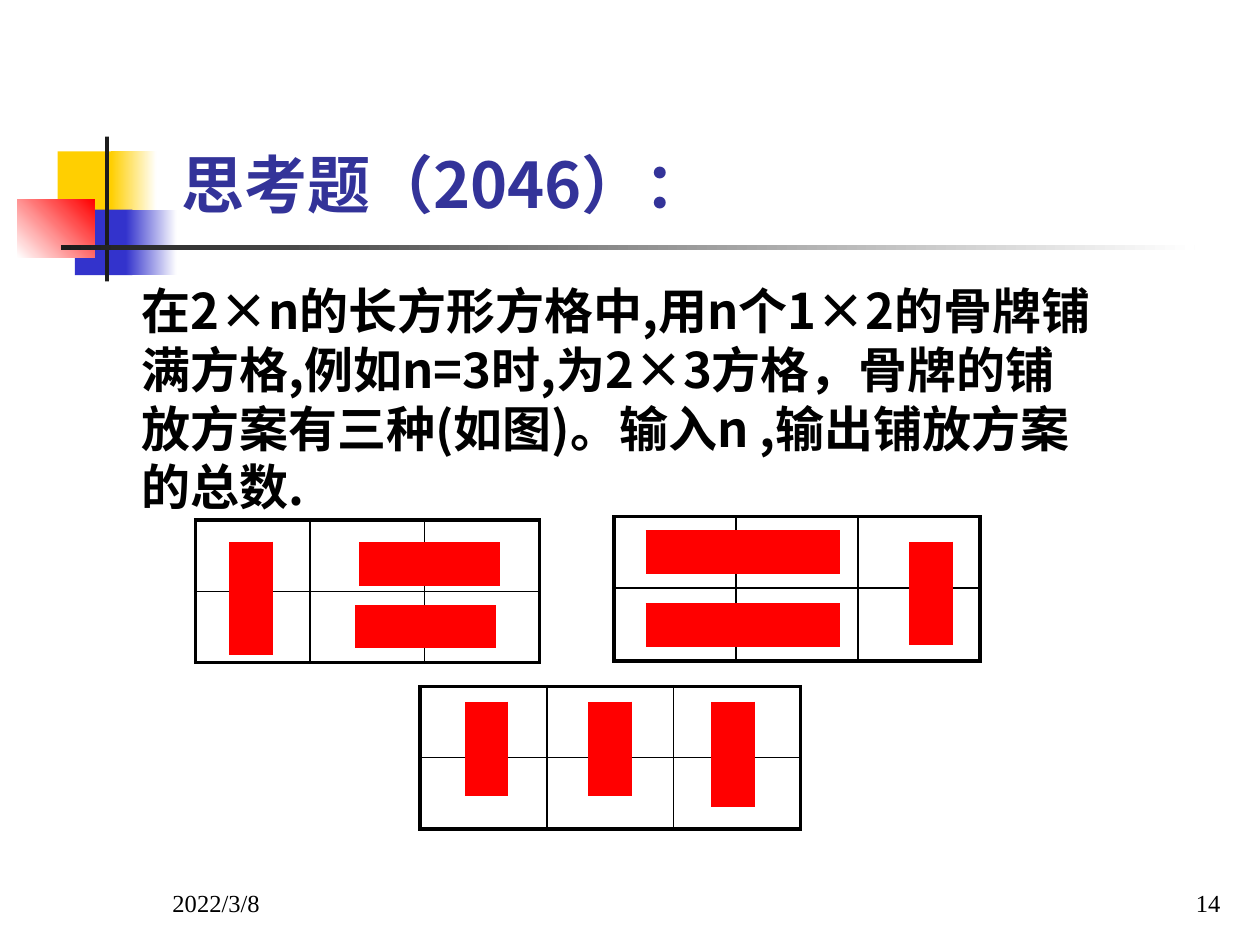
from lxml import etree
from pptx import Presentation
from pptx.dml.color import RGBColor
from pptx.enum.shapes import MSO_CONNECTOR, MSO_SHAPE
from pptx.enum.text import MSO_ANCHOR, PP_ALIGN
from pptx.oxml.ns import qn
from pptx.util import Pt

RECT = MSO_SHAPE.RECTANGLE
LINE = MSO_CONNECTOR.STRAIGHT
TOP, MIDDLE, BOTTOM = MSO_ANCHOR.TOP, MSO_ANCHOR.MIDDLE, MSO_ANCHOR.BOTTOM
LEFT, RIGHT = PP_ALIGN.LEFT, PP_ALIGN.RIGHT
SANS, SERIF = "Noto Sans CJK SC", "Times New Roman"

rgb = RGBColor.from_string


def add_text(words, box, size, face, color, bold, anchor, align=LEFT):
    frame = shapes.add_textbox(*map(Pt, box)).text_frame
    frame.word_wrap = True
    frame.vertical_anchor = anchor
    para = frame.paragraphs[0]
    para.text = words
    para.alignment = align
    font = para.font
    font.size, font.name, font.bold = Pt(size), face, bold
    font.color.rgb = rgb(color)
    # East Asian letters take their own typeface entry
    props = para._p.pPr.find(qn("a:defRPr"))
    etree.SubElement(props, qn("a:ea")).set("typeface", face)
    return para


def add_edge(cell, side, width):
    edge = etree.SubElement(cell._tc.get_or_add_tcPr(), qn(f"a:ln{side}"))
    edge.set("w", str(Pt(width)))
    fill = etree.SubElement(edge, qn("a:solidFill"))
    etree.SubElement(fill, qn("a:srgbClr")).set("val", "000000")


prs = Presentation()
prs.slide_width, prs.slide_height = Pt(720), Pt(540)
slide = prs.slides.add_slide(prs.slide_layouts[6])
shapes = slide.shapes

# Corner blocks and rules: box, start colour, end colour, angle
decor = [
    ((33, 86.5, 34.5, 37.5), "FFCF01", None, 0),
    ((63.5, 86.5, 26, 37.5), "FFCF01", "FFFFFF", 0),
    ((42.75, 119.75, 33, 37.5), "3333CC", None, 0),
    ((72, 119.75, 29, 37.5), "3333CC", "FFFFFF", 0),
    ((10, 113.75, 44, 33.5), "FFFFFF", "FF0000", 45),
    ((60, 78, 2.25, 82.75), "1C1C1C", None, 0),
    ((34.75, 140.25, 648, 2.5), "1C1C1C", "FFFFFF", 0),
]
for box, start, end, angle in decor:
    block = shapes.add_shape(RECT, *map(Pt, box))
    block.shadow.inherit = False
    block.line.fill.background()
    if end:
        block.fill.gradient()
        block.fill.gradient_angle = angle
        for stop, color in zip(block.fill.gradient_stops, (start, end)):
            stop.color.rgb = rgb(color)
    else:
        block.fill.solid()
        block.fill.fore_color.rgb = rgb(start)

# Title and task
title = add_text("思考题（2046）：", (96.5, 77.5, 446.5, 60.5), 36, SANS,
                 "333399", True, MIDDLE)
title.line_spacing = 0.9
task = add_text("在2×n的长方形方格中,用n个1×2的骨牌铺满方格,例如n=3时,"
                "为2×3方格，骨牌的铺放方案有三种(如图)。输入n ,"
                "输出铺放方案的总数.",
                (74, 157, 559, 142.5), 28, SANS, "000000", True, TOP)
task.line_spacing = Pt(33.5)

# Three tilings: left, top, column width, row heights, domino lines
tilings = [
    (111.75, 297.25, 65.5, (40.75, 40.75),
     [(143.25, 309.5, 143.25, 374.5), (203, 358, 283.5, 358),
      (205.25, 322.25, 286, 322.25)]),
    (350.75, 295.25, 69.75, (40.75, 41.75),
     [(369, 315.25, 480, 315.25), (369, 357, 480, 357),
      (532, 309.5, 532, 368.5)]),
    (240, 392.25, 72.5, (40.75, 40.75),
     [(278, 401, 278, 455), (348.5, 401, 348.5, 455),
      (419, 401, 419, 461)]),
]
for left, top, width, rows, dominoes in tilings:
    grid = shapes.add_table(2, 3, Pt(left), Pt(top), Pt(3 * width),
                            Pt(sum(rows))).table
    grid.first_row = grid.horz_banding = False
    for col in grid.columns:
        col.width = Pt(width)
    for r, height in enumerate(rows):
        grid.rows[r].height = Pt(height)
        for c in range(3):
            cell = grid.cell(r, c)
            outer = {"L": c == 0, "R": c == 2, "T": r == 0, "B": r == 1}
            for side, thick in outer.items():
                add_edge(cell, side, 2.25 if thick else 1)
            cell.fill.background()

    group = shapes.add_group_shape()
    for ends in dominoes:
        domino = group.shapes.add_connector(LINE, *map(Pt, ends))
        domino.line.color.rgb = rgb("FF0000")
        domino.line.width = Pt(25)
        etree.SubElement(domino._element.spPr, qn("a:effectLst"))

# Footer
add_text("2022/3/8", (91.5, 492, 150, 36), 14, SERIF, "000000", False, BOTTOM)
add_text("14", (554.5, 492, 150, 36), 14, SERIF, "000000", False, BOTTOM, RIGHT)

prs.save("out.pptx")
